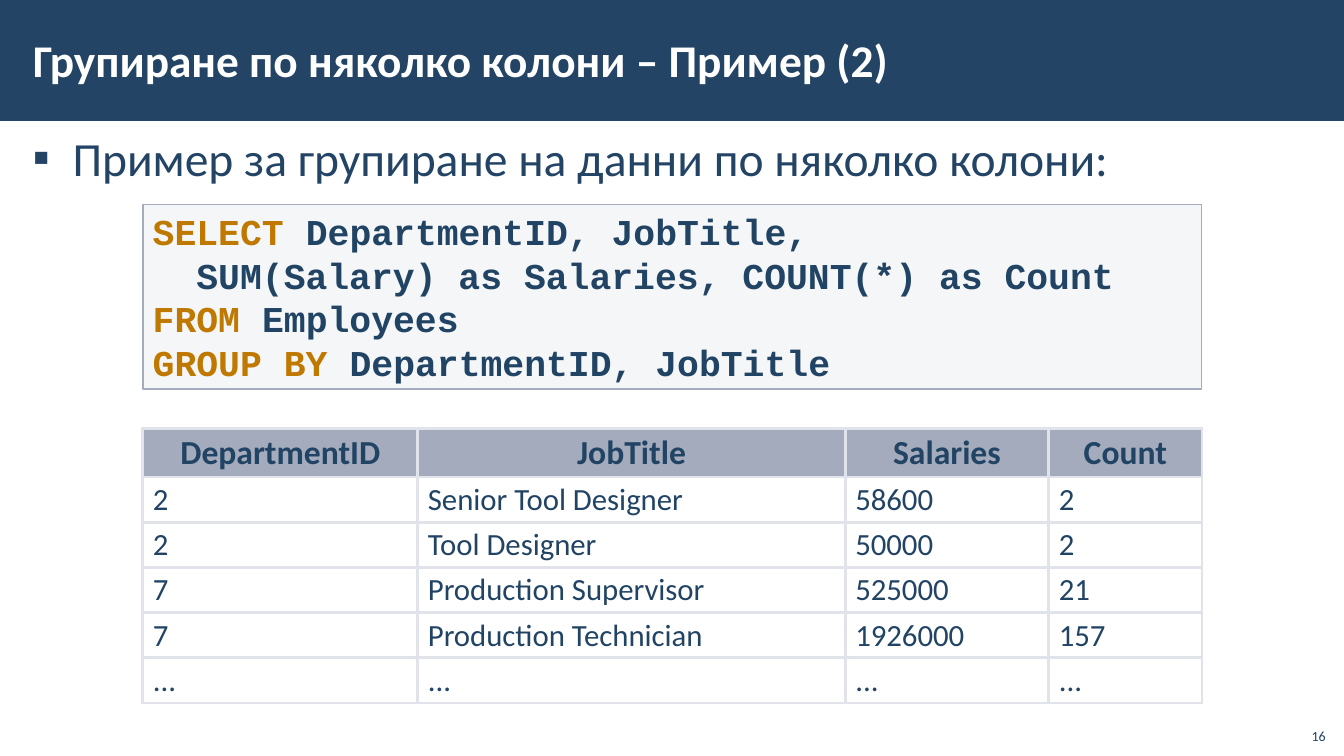
from dataclasses import dataclass, field
from typing import Any

from lxml.etree import SubElement
from pptx import Presentation
from pptx.dml.color import RGBColor as Rgb
from pptx.enum.shapes import MSO_SHAPE as Shape
from pptx.enum.text import MSO_ANCHOR as Anchor, MSO_AUTO_SIZE as AutoSize, PP_ALIGN as Align
from pptx.oxml.ns import qn
from pptx.util import Cm, Pt


@dataclass(frozen=True)
class Theme:
    navy: str = "234465"
    ink: str = "224464"
    white: str = "FFFFFF"
    keyword: str = "BF7800"
    code_fill: str = "C2C7D2"
    grey: str = "A3ABBC"
    border: str = "E0E3E9"
    body_font: str = "Calibri"
    code_font: str = "Courier New"
    title_size: float = 32.4
    body_size: float = 34
    code_size: float = 26
    head_size: float = 24
    cell_size: float = 22
    number_size: float = 10
    border_width: float = 2.21


THEME = Theme()


@dataclass(frozen=True)
class Span:
    text: str
    size: float
    color: str
    bold: bool = False
    font: str = THEME.body_font


@dataclass(frozen=True)
class TextBox:
    area: tuple[float, float, float, float]
    span: Span
    frame: dict[str, Any] = field(default_factory=dict)
    para: dict[str, Any] = field(default_factory=dict)
    bullet: str = ""


@dataclass(frozen=True)
class CodeLine:
    keyword: str
    rest: str
    indent: float = 0


PADDING = {"margin_left": Cm(0.3), "margin_right": Cm(0.3),
           "margin_top": Cm(0.1), "margin_bottom": Cm(0.1)}

TEXT_BOXES = [
    TextBox((0.53, 3.15, 32.79, 15.47),
            Span("Пример за групиране на данни по няколко колони:", THEME.body_size, THEME.navy),
            PADDING, {"space_before": Pt(15.3), "space_after": Pt(6)}, "▪"),
    TextBox((0.53, 0.28, 28.52, 2.44),
            Span("Групиране по няколко колони – Пример (2)", THEME.title_size, THEME.white, True),
            PADDING | {"vertical_anchor": Anchor.MIDDLE}),
    TextBox((32.64, 18.08, 1.02, 0.81), Span("16", THEME.number_size, THEME.navy),
            {"vertical_anchor": Anchor.BOTTOM}, {"alignment": Align.RIGHT}),
]

CODE_LINES = [
    CodeLine("SELECT ", "DepartmentID, JobTitle,"),
    CodeLine("", "SUM(Salary) as Salaries, COUNT(*) as Count", 1.1),
    CodeLine("FROM ", "Employees"),
    CodeLine("GROUP BY ", "DepartmentID, JobTitle"),
]

COLUMN_WIDTHS = [6.93, 10.77, 5.13, 3.86]
ROW_HEIGHT = 0.97
RESULT_ROWS = [
    ("DepartmentID", "JobTitle", "Salaries", "Count"),
    ("2", "Senior Tool Designer", "58600", "2"),
    ("2", "Tool Designer", "50000", "2"),
    ("7", "Production Supervisor", "525000", "21"),
    ("7", "Production Technician", "1926000", "157"),
    ("...", "...", "...", "..."),
]


def apply(target: Any, values: dict[str, Any]) -> None:
    for name, value in values.items():
        setattr(target, name, value)


def add_span(para: Any, span: Span) -> None:
    run = para.add_run()
    run.text = span.text
    apply(run.font, {"name": span.font, "size": Pt(span.size), "bold": span.bold})
    run.font.color.rgb = Rgb.from_string(span.color)


def set_indent(para: Any, left: float, first: float) -> Any:
    properties = para._p.get_or_add_pPr()
    properties.set("marL", str(Cm(left)))
    properties.set("indent", str(Cm(first)))
    return properties


def add_bullet(para: Any, symbol: str, span: Span) -> None:
    properties = set_indent(para, 1, -1)
    bullet_color = SubElement(properties, qn("a:buClr"))
    SubElement(bullet_color, qn("a:srgbClr"), val=span.color)
    SubElement(properties, qn("a:buFont"), typeface=span.font)
    SubElement(properties, qn("a:buChar"), char=symbol)


def add_rectangle(slide: Any, area: tuple[float, float, float, float], fill: str) -> Any:
    box = slide.shapes.add_shape(Shape.RECTANGLE, *map(Cm, area))
    box.shadow.inherit = False
    box.fill.solid()
    box.fill.fore_color.rgb = Rgb.from_string(fill)
    box.line.fill.background()
    return box


def add_text_box(slide: Any, item: TextBox) -> None:
    frame = slide.shapes.add_textbox(*map(Cm, item.area)).text_frame
    apply(frame, {"word_wrap": True} | item.frame)
    para = frame.paragraphs[0]
    apply(para, item.para)
    if item.bullet:
        add_bullet(para, item.bullet, item.span)
    add_span(para, item.span)


def add_code(slide: Any, lines: list[CodeLine]) -> None:
    box = add_rectangle(slide, (3.6, 5.15, 26.68, 4.65), THEME.code_fill)
    fill_color = box.fill._xPr.find(qn("a:solidFill"))[0]
    SubElement(fill_color, qn("a:alpha"), val="15000")
    box.line.color.rgb = Rgb.from_string(THEME.grey)
    box.line.width = Pt(1)
    frame = box.text_frame
    apply(frame, {"word_wrap": True, "vertical_anchor": Anchor.TOP,
                  "auto_size": AutoSize.SHAPE_TO_FIT_TEXT})
    for index, line in enumerate(lines):
        para = frame.add_paragraph() if index else frame.paragraphs[0]
        para.alignment = Align.LEFT
        if line.indent:
            set_indent(para, line.indent, 0)
        for text, color in ((line.keyword, THEME.keyword), (line.rest, THEME.ink)):
            if text:
                add_span(para, Span(text, THEME.code_size, color, True, THEME.code_font))


def add_borders(cell: Any) -> None:
    properties = cell._tc.get_or_add_tcPr()
    for position, side in enumerate(("a:lnL", "a:lnR", "a:lnT", "a:lnB")):
        line = SubElement(properties, qn(side), w=str(Pt(THEME.border_width)))
        fill = SubElement(line, qn("a:solidFill"))
        SubElement(fill, qn("a:srgbClr"), val=THEME.border)
        properties.insert(position, line)


def add_results(slide: Any, rows: list[tuple[str, ...]]) -> None:
    height = Cm(6.91)
    holder = slide.shapes.add_table(len(rows), len(COLUMN_WIDTHS), Cm(3.6), Cm(10.8),
                                    Cm(sum(COLUMN_WIDTHS)), height)
    table = holder.table
    apply(table, {"first_row": False, "horz_banding": False})
    for column, width in zip(table.columns, COLUMN_WIDTHS):
        column.width = Cm(width)
    for row_index, values in enumerate(rows):
        table.rows[row_index].height = Cm(ROW_HEIGHT)
        is_head = row_index == 0
        size = THEME.head_size if is_head else THEME.cell_size
        for column_index, text in enumerate(values):
            cell = table.cell(row_index, column_index)
            cell.vertical_anchor = Anchor.MIDDLE
            if is_head:
                cell.fill.solid()
                cell.fill.fore_color.rgb = Rgb.from_string(THEME.grey)
            else:
                cell.fill.background()
            add_borders(cell)
            para = cell.text_frame.paragraphs[0]
            apply(para, {"alignment": Align.CENTER if is_head else Align.LEFT,
                         "line_spacing": 0.95, "space_before": Pt(size * 0.4)})
            add_span(para, Span(text, size, THEME.ink, is_head))
    holder.height = height


def main() -> None:
    deck = Presentation()
    apply(deck, {"slide_width": Cm(33.87), "slide_height": Cm(19.05)})
    page = deck.slides.add_slide(deck.slide_layouts[6])

    # Title band, then title, bullet and page number
    add_rectangle(page, (0, 0, 33.87, 3.05), THEME.navy)
    for item in TEXT_BOXES:
        add_text_box(page, item)

    # Query and its result
    add_code(page, CODE_LINES)
    add_results(page, RESULT_ROWS)
    deck.save("out.pptx")


if __name__ == "__main__":
    main()
